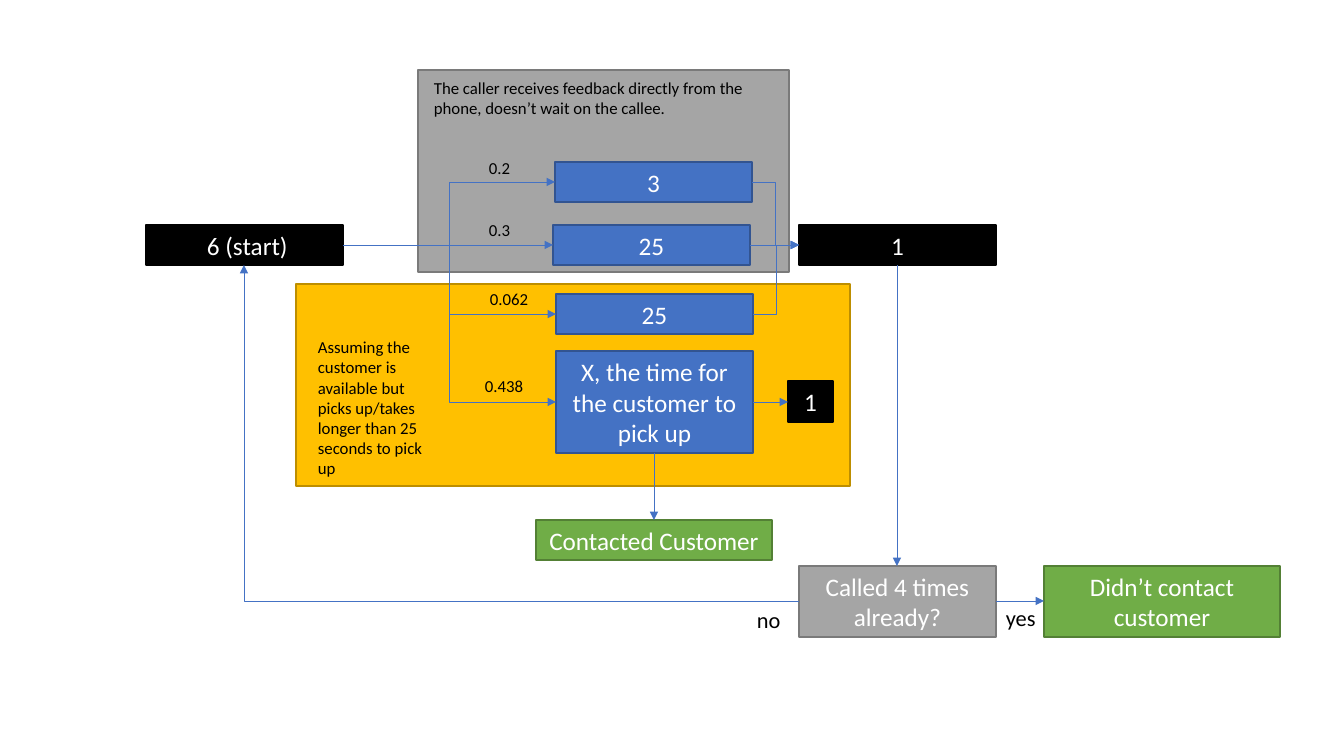
from dataclasses import dataclass
from typing import Optional

from lxml import etree
from pptx import Presentation
from pptx import util as u
from pptx.dml.color import RGBColor
from pptx.enum import shapes, text
from pptx.oxml import ns

PIXEL = 914400 / 100.8
Point = tuple[int, int]

WHITE = RGBColor(0xFF, 0xFF, 0xFF)
BLACK = RGBColor(0x00, 0x00, 0x00)
BLUE = RGBColor(0x44, 0x72, 0xC4)
DARK_BLUE = RGBColor(0x32, 0x54, 0x91)
GRAY = RGBColor(0xA5, 0xA5, 0xA5)
DARK_GRAY = RGBColor(0x7A, 0x7A, 0x7A)
GOLD = RGBColor(0xFF, 0xC0, 0x00)
DARK_GOLD = RGBColor(0xBD, 0x8E, 0x00)
GREEN = RGBColor(0x70, 0xAD, 0x47)
DARK_GREEN = RGBColor(0x53, 0x80, 0x35)


@dataclass(frozen=True)
class Box:
    """A bordered rectangle with optional centred wording."""
    left: int
    top: int
    width: int
    height: int
    fill: RGBColor
    border: RGBColor
    wording: str = ""

    @property
    def west(self) -> Point:
        """Middle of the left edge."""
        return self.left, self.top + self.height // 2

    @property
    def east(self) -> Point:
        """Middle of the right edge."""
        return self.left + self.width, self.top + self.height // 2

    @property
    def north(self) -> Point:
        """Middle of the top edge."""
        return self.left + self.width // 2, self.top

    @property
    def south(self) -> Point:
        """Middle of the bottom edge."""
        return self.left + self.width // 2, self.top + self.height


@dataclass(frozen=True)
class Label:
    """Free text on the slide."""
    left: int
    top: int
    width: int
    height: int
    wording: str
    size: int = 12


@dataclass(frozen=True)
class Arrow:
    """An arrow; preset names a bent geometry, None means straight."""
    start: Point
    end: Point
    preset: Optional[str] = None


def px(pixels: int) -> int:
    """Convert pixels to EMU."""
    return u.Emu(round(pixels * PIXEL))


def write_text(frame, wording: str, *, size: int, color: RGBColor,
               align=text.PP_ALIGN.LEFT, anchor=text.MSO_ANCHOR.TOP) -> None:
    """Fill a text frame with one formatted paragraph."""
    frame.word_wrap = True
    frame.vertical_anchor = anchor
    paragraph = frame.paragraphs[0]
    paragraph.alignment = align
    run = paragraph.add_run()
    run.text = wording
    run.font.name = "Calibri"
    run.font.size = u.Pt(size)
    run.font.color.rgb = color


def draw_box(slide, box: Box) -> None:
    """Draw a rectangle and its wording."""
    shape = slide.shapes.add_shape(shapes.MSO_SHAPE.RECTANGLE, px(box.left), px(box.top),
                                   px(box.width), px(box.height))
    shape.shadow.inherit = False
    shape.fill.solid()
    shape.fill.fore_color.rgb = box.fill
    shape.line.color.rgb = box.border
    shape.line.width = u.Pt(1)
    if box.wording:
        write_text(shape.text_frame, box.wording, size=18, color=WHITE,
                   align=text.PP_ALIGN.CENTER, anchor=text.MSO_ANCHOR.MIDDLE)


def draw_label(slide, label: Label) -> None:
    """Draw a text box."""
    shape = slide.shapes.add_textbox(px(label.left), px(label.top),
                                     px(label.width), px(label.height))
    write_text(shape.text_frame, label.wording, size=label.size, color=BLACK)


def draw_arrow(slide, arrow: Arrow) -> None:
    """Draw a thin connector with a triangle at its end."""
    kind = shapes.MSO_CONNECTOR.ELBOW if arrow.preset else shapes.MSO_CONNECTOR.STRAIGHT
    connector = slide.shapes.add_connector(kind, *map(px, arrow.start + arrow.end))
    connector.line.color.rgb = BLUE
    connector.line.width = u.Pt(0.5)
    properties = connector.element.spPr
    if arrow.preset:
        properties.find(ns.qn("a:prstGeom")).set("prst", arrow.preset)
    etree.SubElement(properties.find(ns.qn("a:ln")), ns.qn("a:tailEnd"), type="triangle")
    etree.SubElement(properties, ns.qn("a:effectLst"))


def step(left: int, top: int, wording: str, height: int = 40) -> Box:
    """Make a blue waiting step."""
    return Box(left, top, 197, height, BLUE, DARK_BLUE, wording)


def outcome(left: int, top: int, height: int, wording: str) -> Box:
    """Make a green final outcome."""
    return Box(left, top, 236, height, GREEN, DARK_GREEN, wording)


phone_zone = Box(418, 70, 371, 202, GRAY, DARK_GRAY)
customer_zone = Box(296, 284, 554, 202, GOLD, DARK_GOLD)
start = Box(146, 225, 197, 40, BLACK, BLACK, " 6 (start)")
busy = step(555, 162, "3")
unavailable = step(553, 225, "25")
too_slow = step(556, 294, "25")
pick_up = step(556, 351, "X, the time for the customer to pick up", 102)
hang_up = Box(799, 225, 197, 40, BLACK, BLACK, "1")
answered = Box(788, 381, 45, 41, BLACK, BLACK, "1")
contacted = outcome(536, 520, 40, "Contacted Customer")
not_contacted = outcome(1044, 566, 71, "Didn’t contact customer")
retry = Box(799, 566, 197, 71, GRAY, DARK_GRAY, "Called 4 times already?")

BOXES = [phone_zone, customer_zone, start, busy, unavailable, too_slow, pick_up,
         hang_up, answered, contacted, not_contacted, retry]

BENT = "bentConnector3"
ARROWS = [
    *(Arrow(start.east, branch.west, BENT) for branch in (busy, too_slow, pick_up)),
    Arrow(start.east, unavailable.west),
    *(Arrow(branch.east, hang_up.west, BENT) for branch in (busy, too_slow)),
    Arrow(unavailable.east, hang_up.west),
    Arrow(pick_up.east, (answered.left, pick_up.east[1])),
    Arrow(pick_up.south, contacted.north),
    Arrow(hang_up.south, retry.north),
    Arrow(retry.east, not_contacted.west),
    Arrow(retry.west, start.south, "bentConnector2"),
]

LABELS = [
    *(Label(left, top, 101, 30, chance) for left, top, chance in (
        (479, 153, "0.2"), (479, 215, "0.3"), (480, 284, "0.062"), (475, 371, "0.438"))),
    Label(996, 599, 68, 37, "yes", 16),
    Label(747, 601, 68, 37, "no", 16),
    Label(308, 332, 132, 152, "Assuming the customer is available but picks up/takes "
                              "longer than 25 seconds to pick up"),
    Label(424, 73, 349, 50, "The caller receives feedback directly from the phone, "
                            "doesn’t wait on the callee."),
]


def main() -> None:
    """Build and save the slide."""
    presentation = Presentation()
    presentation.slide_width, presentation.slide_height = px(1344), px(756)
    slide = presentation.slides.add_slide(presentation.slide_layouts[6])
    for box in BOXES:
        draw_box(slide, box)
    for arrow in ARROWS:
        draw_arrow(slide, arrow)
    for label in LABELS:
        draw_label(slide, label)
    presentation.save("out.pptx")


main()
